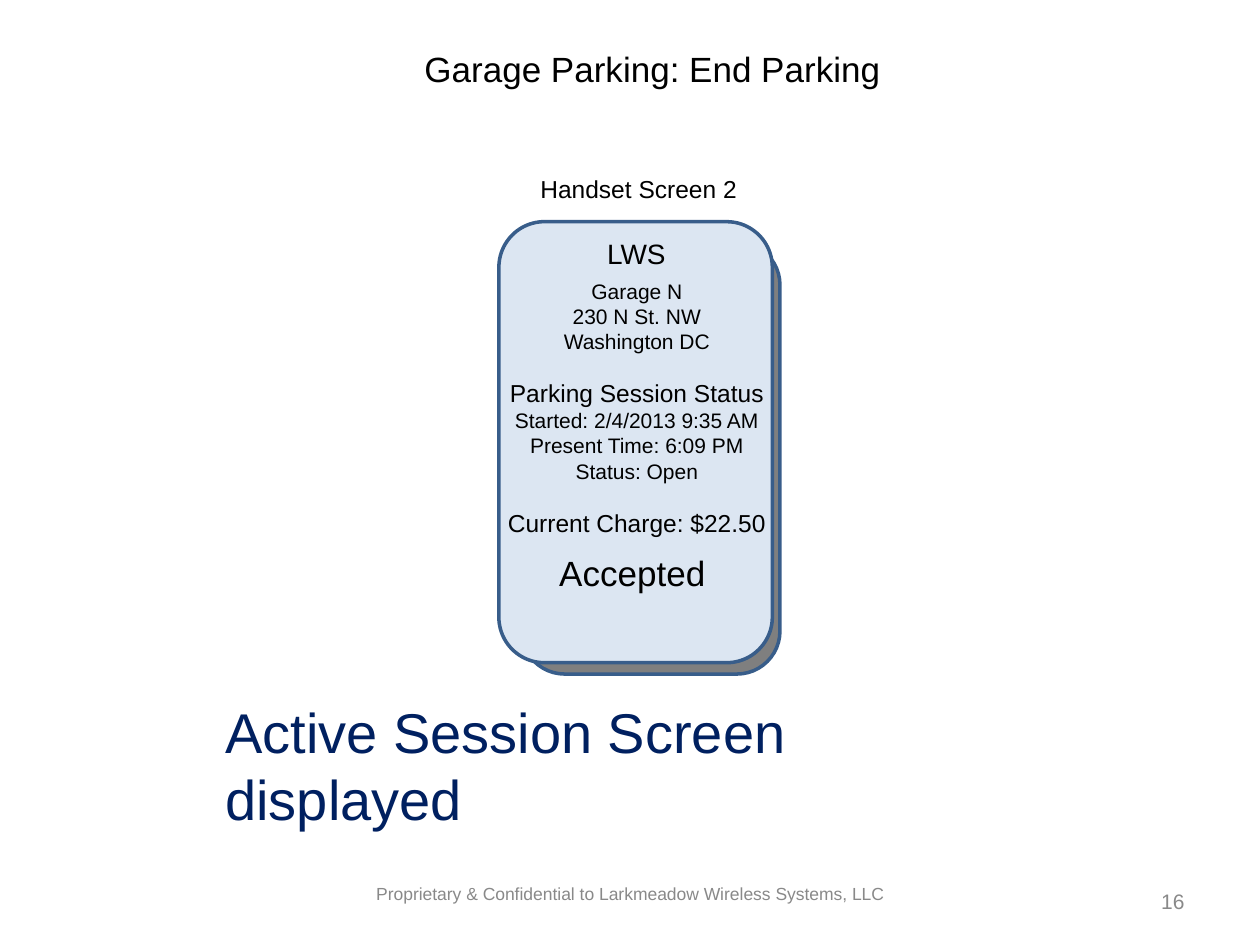
from dataclasses import dataclass

from pptx import Presentation
from pptx.dml.color import RGBColor
from pptx.enum.shapes import MSO_SHAPE
from pptx.enum.text import MSO_ANCHOR, PP_ALIGN
from pptx.util import Inches, Pt

ROUNDED = MSO_SHAPE.ROUNDED_RECTANGLE
TOP, MIDDLE = MSO_ANCHOR.TOP, MSO_ANCHOR.MIDDLE
LEFT, CENTER, RIGHT = PP_ALIGN.LEFT, PP_ALIGN.CENTER, PP_ALIGN.RIGHT


@dataclass(frozen=True)
class Theme:
    """Colours, font and type sizes of the slide."""
    font: str = "Arial"
    ink: RGBColor = RGBColor(0, 0, 0)
    muted: RGBColor = RGBColor(0x89, 0x89, 0x89)
    accent: RGBColor = RGBColor(0x00, 0x20, 0x60)
    screen: RGBColor = RGBColor(0xDC, 0xE6, 0xF2)
    back: RGBColor = RGBColor(0x7F, 0x7F, 0x7F)
    outline: RGBColor = RGBColor(0x38, 0x5D, 0x8A)
    footer: int = 10
    body: int = 12
    label: int = 14
    brand: int = 16
    title: int = 20
    caption: int = 32


THEME = Theme()

SESSION_GROUPS = [
    [("Garage N", THEME.body), ("230 N St. NW", THEME.body), ("Washington DC", THEME.body)],
    [("Parking Session Status", THEME.label), ("Started: 2/4/2013 9:35 AM", THEME.body),
     ("Present Time: 6:09 PM", THEME.body), ("Status: Open", THEME.body)],
    [("Current Charge: $22.50", THEME.label)],
]


def format_paragraph(paragraph, text, size, color, align):
    """Fill one paragraph with text in the theme font."""
    paragraph.text = text
    paragraph.alignment = align
    font = paragraph.runs[0].font
    font.name, font.size = THEME.font, Pt(size)
    font.color.rgb = color


def add_frame(slide, box, anchor=TOP, wrap=False):
    """Add an empty text box and return its text frame."""
    frame = slide.shapes.add_textbox(*map(Inches, box)).text_frame
    frame.word_wrap = wrap
    frame.vertical_anchor = anchor
    return frame


def add_line(slide, box, text, size, color=THEME.ink, align=LEFT, anchor=TOP, wrap=False):
    """Add a text box that holds a single line."""
    frame = add_frame(slide, box, anchor, wrap)
    format_paragraph(frame.paragraphs[0], text, size, color, align)


def add_panel(slide, box, fill):
    """Add one rounded, outlined panel."""
    panel = slide.shapes.add_shape(ROUNDED, *map(Inches, box))
    panel.shadow.inherit = False
    panel.fill.solid()
    panel.fill.fore_color.rgb = fill
    panel.line.color.rgb = THEME.outline
    panel.line.width = Pt(2)


def add_session(slide, box):
    """Add the session details, with a gap before each later group."""
    frame = add_frame(slide, box)
    paragraph = frame.paragraphs[0]
    for group_index, group in enumerate(SESSION_GROUPS):
        for line_index, (text, size) in enumerate(group):
            if group_index or line_index:
                paragraph = frame.add_paragraph()
            format_paragraph(paragraph, text, size, THEME.ink, CENTER)
            if group_index and not line_index:
                paragraph.space_before = Pt(14)


def add_handset(slide, box):
    """Draw the handset screen with its label, details and result."""
    left, top, width, height = box
    add_panel(slide, (left + 0.18, top + 0.16, width - 0.12, height - 0.07), THEME.back)
    add_panel(slide, box, THEME.screen)
    add_line(slide, (left + 0.23, top - 0.43, 1.76, 0.34), "Handset Screen 2", THEME.label)
    add_line(slide, (left + 0.76, top + 0.07, 0.69, 0.37), "LWS", THEME.brand)
    add_session(slide, (left - 0.04, top + 0.4, width + 0.1, 2.4))
    add_line(slide, (left + 0.38, top + 2.57, 1.36, 0.44), "Accepted", THEME.title)


def add_footer(slide, box):
    """Add the confidentiality line and the slide number."""
    left, top, width, height = box
    add_line(slide, (left, top, 6, height), "Proprietary & Confidential to Larkmeadow Wireless Systems, LLC",
             THEME.footer, THEME.muted, CENTER, MIDDLE, True)
    add_line(slide, (left + width - 2.33, top + 0.12, 2.33, 0.4), "16",
             THEME.body, THEME.muted, RIGHT, MIDDLE, True)


def main():
    """Build and save the slide."""
    deck = Presentation()
    deck.slide_width, deck.slide_height = Inches(10), Inches(7.5)
    slide = deck.slides.add_slide(deck.slide_layouts[6])
    add_footer(slide, (2, 6.83, 7.5, 0.52))
    add_line(slide, (3.27, 0.33, 3.82, 0.44), "Garage Parking: End Parking", THEME.title)
    add_handset(slide, (3.96, 1.76, 2.17, 3.5))
    add_line(slide, (1.69, 5.75, 6.65, 0.64), "Active Session Screen displayed",
             THEME.caption, THEME.accent, anchor=MIDDLE)
    deck.save("out.pptx")


if __name__ == "__main__":
    main()
